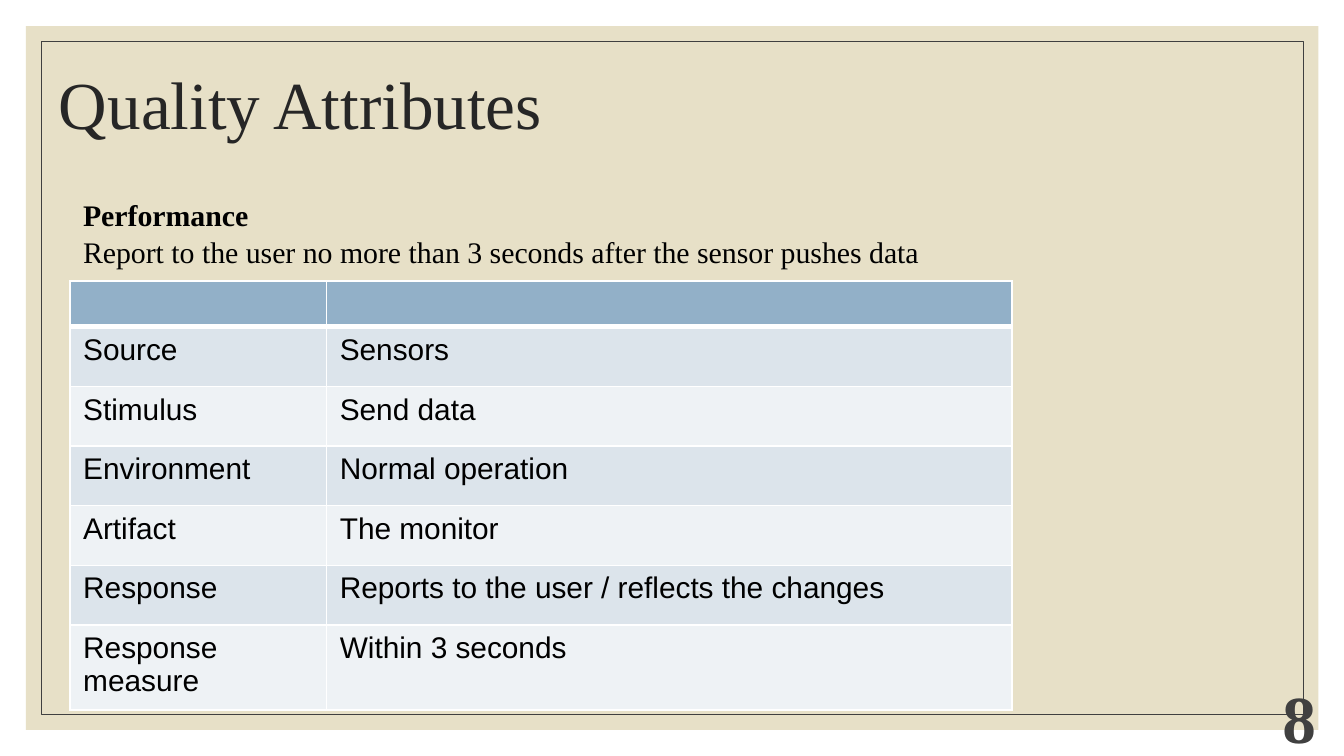
from dataclasses import dataclass
from typing import NamedTuple

from lxml import etree
from pptx import Presentation, util as u
from pptx.dml.color import RGBColor
from pptx.enum import shapes, text
from pptx.oxml.ns import qn


@dataclass(frozen=True)
class Theme:
    panel: str = "E7E0C7"
    frame: str = "404040"
    title: str = "262626"
    ink: str = "000000"
    header: str = "92B0C8"
    bands: tuple[str, str] = ("DCE4EB", "EEF2F5")
    border: str = "FFFFFF"
    serif: str = "Times New Roman"
    sans: str = "Arial"
    large: float = 36
    body: float = 16


class Box(NamedTuple):
    left: float
    top: float
    width: float
    height: float

    def emu(self) -> list[int]:
        return [u.Pt(v) for v in self]


@dataclass(frozen=True)
class Line:
    words: str
    size: float
    color: str
    bold: bool = False


T = Theme()
INSET = 7.2
ROWS = [
    ("Source", "Sensors"),
    ("Stimulus", "Send data"),
    ("Environment", "Normal operation"),
    ("Artifact", "The monitor"),
    ("Response", "Reports to the user / reflects the changes"),
    ("Response measure", "Within 3 seconds"),
]
COLUMNS = (137.5, 367.2)
HEADER_HEIGHT, ROW_HEIGHT, LAST_HEIGHT = 24.6, 31.95, 42.9


def apply(target, values: dict) -> None:
    for name, value in values.items():
        setattr(target, name, value)


def add_run(p, line: Line, font: str) -> None:
    r = p.add_run()
    r.text = line.words
    apply(r.font, {"name": font, "size": u.Pt(line.size), "bold": line.bold})
    r.font.color.rgb = RGBColor.from_string(line.color)


def add_rect(s, box: Box, fill: str | None = None, line: str | None = None) -> None:
    sp = s.shapes.add_shape(shapes.MSO_SHAPE.RECTANGLE, *box.emu())
    sp.shadow.inherit = False
    if fill:
        sp.fill.solid()
        sp.fill.fore_color.rgb = RGBColor.from_string(fill)
    else:
        sp.fill.background()
    if line:
        sp.line.color.rgb = RGBColor.from_string(line)
        sp.line.width = u.Pt(0.5)
    else:
        sp.line.fill.background()


def add_text(s, box: Box, lines: list[Line], frame: dict | None = None,
             paragraph: dict | None = None) -> None:
    tf = s.shapes.add_textbox(*box.emu()).text_frame
    sides = ("left", "top", "right", "bottom")
    apply(tf, {"word_wrap": True, **{f"margin_{m}": u.Pt(INSET) for m in sides}})
    apply(tf, frame or {})
    for i, line in enumerate(lines):
        p = tf.add_paragraph() if i else tf.paragraphs[0]
        apply(p, paragraph or {})
        add_run(p, line, T.serif)


def set_borders(cell, widths: dict[str, float]) -> None:
    tc_pr = cell._tc.get_or_add_tcPr()
    for i, (side, width) in enumerate(widths.items()):
        ln = etree.Element(qn(f"a:ln{side}"), w=str(u.Pt(width)))
        fill = etree.SubElement(ln, qn("a:solidFill"))
        etree.SubElement(fill, qn("a:srgbClr"), val=T.border)
        tc_pr.insert(i, ln)


def add_grid(s, left: float, top: float) -> None:
    heights = [HEADER_HEIGHT] + [ROW_HEIGHT] * (len(ROWS) - 1) + [LAST_HEIGHT]
    box = Box(left, top, sum(COLUMNS), sum(heights))
    table = s.shapes.add_table(len(heights), len(COLUMNS), *box.emu()).table
    for column, width in zip(table.columns, COLUMNS):
        column.width = u.Pt(width)
    for i, (row, height) in enumerate(zip(table.rows, heights)):
        row.height = u.Pt(height)
        for j, cell in enumerate(row.cells):
            cell.fill.solid()
            color = T.bands[(i - 1) % 2] if i else T.header
            cell.fill.fore_color.rgb = RGBColor.from_string(color)
            set_borders(cell, {"L": 1, "R": 1, "T": 3 if i == 1 else 1,
                               "B": 1 if i else 3})
            if i:
                line = Line(ROWS[i - 1][j], T.body, T.ink)
                add_run(cell.text_frame.paragraphs[0], line, T.sans)
            else:
                apply(cell, {"margin_top": 0, "margin_bottom": 0})


def main() -> None:
    prs = Presentation()
    apply(prs, {"slide_width": u.Pt(720), "slide_height": u.Pt(405)})
    s = prs.slides.add_slide(prs.slide_layouts[6])
    add_rect(s, Box(13.9, 14.1, 692.4, 377), fill=T.panel)
    add_rect(s, Box(22, 22, 676.4, 360.8), line=T.frame)
    add_text(s, Box(24.5, 31, 671, 49),
             [Line("Quality Attributes", T.large, T.title)],
             paragraph={"line_spacing": 0.9})
    add_text(s, Box(669, 368.6, 43, 31), [Line("8", T.large, T.frame, True)],
             frame={"vertical_anchor": text.MSO_ANCHOR.MIDDLE},
             paragraph={"alignment": text.PP_ALIGN.RIGHT})
    add_text(s, Box(37.4, 98, 658, 264), [
        Line("Performance", T.body, T.ink, True),
        Line("Report to the user no more than 3 seconds after the sensor pushes data",
             T.body, T.ink),
    ], paragraph={"space_before": u.Pt(1)})
    add_grid(s, 37.4, 150.5)
    prs.save("out.pptx")


if __name__ == "__main__":
    main()
